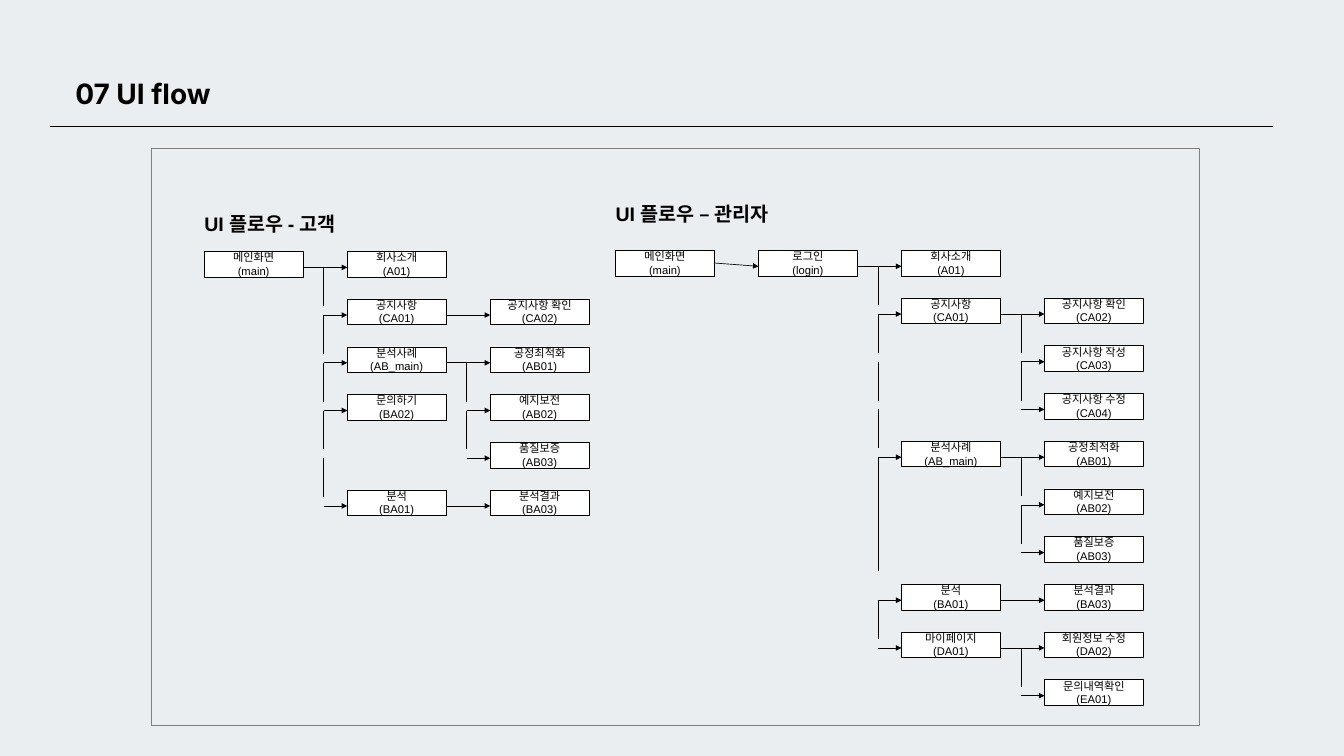
from dataclasses import dataclass

from lxml import etree
from pptx import Presentation
from pptx.dml.color import RGBColor
from pptx.enum.shapes import MSO_CONNECTOR, MSO_SHAPE
from pptx.enum.text import MSO_ANCHOR, MSO_AUTO_SIZE, PP_ALIGN
from pptx.oxml.ns import qn
from pptx.util import Inches, Pt

RECTANGLE = MSO_SHAPE.RECTANGLE
STRAIGHT = MSO_CONNECTOR.STRAIGHT
TOP, MIDDLE = MSO_ANCHOR.TOP, MSO_ANCHOR.MIDDLE
LEFT, CENTER = PP_ALIGN.LEFT, PP_ALIGN.CENTER
GROW = MSO_AUTO_SIZE.SHAPE_TO_FIT_TEXT
RIGHT_SIDE = 3

SLIDE_W, SLIDE_H = Inches(20), Inches(11.25)
INK, PAPER, BACKDROP, FRAME = "000000", "FFFFFF", "EBEEF0", "808080"

COLUMN_STEP, ROW_STEP = 10.64, 6.31
BOX_W, BOX_H = 7.35, 3.38
PORT_Y = 2.13
BRANCH_W, TRUNK_H = 1.76, 5.16
LONG_TRUNK_H = 15.02


@dataclass
class Flow:
    heading: str
    heading_y: float
    left: float
    top: float
    screens: list
    across: list
    branches: list
    trunks: list

    def x(self, column):
        return self.left + column * COLUMN_STEP

    def y(self, row):
        return self.top + row * ROW_STEP

    def port(self, row):
        return self.y(row) + PORT_Y


CUSTOMER = Flow(
    "UI 플로우 - 고객", 27.56, 15.2, 33.24,
    screens=[
        (0, 0, "메인화면", "main"), (1, 0, "회사소개", "A01"),
        (1, 1, "공지사항", "CA01"), (2, 1, "공지사항 확인", "CA02"),
        (1, 2, "분석사례", "AB_main"), (2, 2, "공정최적화", "AB01"),
        (1, 3, "문의하기", "BA02"), (2, 3, "예지보전", "AB02"),
        (2, 4, "품질보증", "AB03"),
        (1, 5, "분석", "BA01"), (2, 5, "분석결과", "BA03"),
    ],
    across=[(1, 0), (2, 1), (2, 2), (2, 5)],
    branches=[(1, 1), (1, 2), (1, 3), (1, 5), (2, 3), (2, 4)],
    trunks=[(1, row, TRUNK_H) for row in range(5)]
    + [(2, row, TRUNK_H) for row in (2, 3)],
)

ADMIN = Flow(
    "UI 플로우 – 관리자", 26.31, 45.8, 33.1,
    screens=[
        (0, 0, "메인화면", "main"), (1, 0, "로그인", "login"),
        (2, 0, "회사소개", "A01"),
        (2, 1, "공지사항", "CA01"), (3, 1, "공지사항 확인", "CA02"),
        (3, 2, "공지사항 작성", "CA03"), (3, 3, "공지사항 수정", "CA04"),
        (2, 4, "분석사례", "AB_main"), (3, 4, "공정최적화", "AB01"),
        (3, 5, "예지보전", "AB02"), (3, 6, "품질보증", "AB03"),
        (2, 7, "분석", "BA01"), (3, 7, "분석결과", "BA03"),
        (2, 8, "마이페이지", "DA01"), (3, 8, "회원정보 수정", "DA02"),
        (3, 9, "문의내역확인", "EA01"),
    ],
    across=[(2, 0), (3, 1), (3, 4), (3, 7), (3, 8)],
    branches=[(2, 1), (2, 4), (2, 7), (2, 8),
              (3, 2), (3, 3), (3, 5), (3, 6), (3, 9)],
    trunks=[(2, row, TRUNK_H) for row in (0, 1, 2, 3, 7)]
    + [(2, 4, LONG_TRUNK_H)]
    + [(3, row, TRUNK_H) for row in (1, 2, 4, 5, 8)],
)


def color(value):
    return RGBColor.from_string(value)


def across_slide(percent):
    return round(SLIDE_W * percent / 100)


def down_slide(percent):
    return round(SLIDE_H * percent / 100)


def area(left, top, width, height):
    return across_slide(left), down_slide(top), across_slide(width), down_slide(height)


def style_text(text_frame, size, font, align, anchor, bold=False):
    text_frame.word_wrap = True
    text_frame.vertical_anchor = anchor
    for paragraph in text_frame.paragraphs:
        paragraph.alignment = align
        for run in paragraph.runs:
            run.font.size = Pt(size)
            run.font.name = font
            run.font.bold = bold
            run.font.color.rgb = color(INK)


def add_title(slide, text):
    title = slide.shapes.title
    title.left, title.top, title.width, title.height = area(5.6, 9.33, 25.6, 4.8)
    frame = title.text_frame
    frame.text = text
    frame.margin_left = frame.margin_right = frame.margin_top = frame.margin_bottom = 0
    frame.auto_size = GROW
    frame.paragraphs[0].line_spacing = Pt(42)
    style_text(frame, 30, "Inter", LEFT, TOP, bold=True)


def add_heading(slide, text, left, top):
    frame = slide.shapes.add_textbox(*area(left, top, 15.95, 4)).text_frame
    frame.text = text
    frame.margin_left = 0
    frame.auto_size = GROW
    style_text(frame, 21, "Arial", LEFT, TOP, bold=True)


def add_box(slide, bounds, outline, fill=None):
    box = slide.shapes.add_shape(RECTANGLE, *area(*bounds))
    box.shadow.inherit = False
    if fill:
        box.fill.solid()
        box.fill.fore_color.rgb = color(fill)
    else:
        box.fill.background()
    box.line.color.rgb = color(outline)
    box.line.width = Pt(0.25)
    return box


def add_screen(slide, flow, column, row, name, code):
    screen = add_box(slide, (flow.x(column), flow.y(row), BOX_W, BOX_H), INK, PAPER)
    screen.text_frame.text = f"{name}\n({code})"
    style_text(screen.text_frame, 12, "Arial", CENTER, MIDDLE)
    return screen


def add_line(slide, x1, y1, x2, y2, arrow=False):
    line = slide.shapes.add_connector(
        STRAIGHT, across_slide(x1), down_slide(y1), across_slide(x2), down_slide(y2))
    line.line.color.rgb = color(INK)
    line.line.width = Pt(0.75)
    if arrow:
        etree.SubElement(line.line._get_or_add_ln(), qn("a:tailEnd"), type="triangle")
    etree.SubElement(line._element.spPr, qn("a:effectLst"))
    return line


def add_flow(slide, flow):
    add_heading(slide, flow.heading, flow.left, flow.heading_y)
    screens = {entry[:2]: add_screen(slide, flow, *entry) for entry in flow.screens}
    for column, row in flow.across:
        add_line(slide, flow.x(column - 1) + BOX_W, flow.port(row),
                 flow.x(column), flow.port(row), arrow=True)
    for column, row in flow.branches:
        add_line(slide, flow.x(column) - BRANCH_W, flow.port(row),
                 flow.x(column), flow.port(row), arrow=True)
    for column, row, length in flow.trunks:
        trunk_x = flow.x(column) - BRANCH_W
        add_line(slide, trunk_x, flow.port(row), trunk_x, flow.port(row) + length)
    return screens


def main():
    deck = Presentation()
    deck.slide_width, deck.slide_height = SLIDE_W, SLIDE_H
    slide = deck.slides.add_slide(deck.slide_layouts[5])
    slide.background.fill.solid()
    slide.background.fill.fore_color.rgb = color(BACKDROP)

    add_title(slide, "07 UI flow")
    add_line(slide, 3.75, 16.71, 94.7, 16.71)
    add_box(slide, (11.25, 19.64, 77.95, 76.27), FRAME)

    add_flow(slide, CUSTOMER)
    admin_screens = add_flow(slide, ADMIN)
    login_link = add_line(slide, ADMIN.x(0) + BOX_W, ADMIN.y(0) + BOX_H / 2,
                          ADMIN.x(1), ADMIN.port(0), arrow=True)
    login_link.begin_connect(admin_screens[0, 0], RIGHT_SIDE)

    deck.save("out.pptx")


if __name__ == "__main__":
    main()
